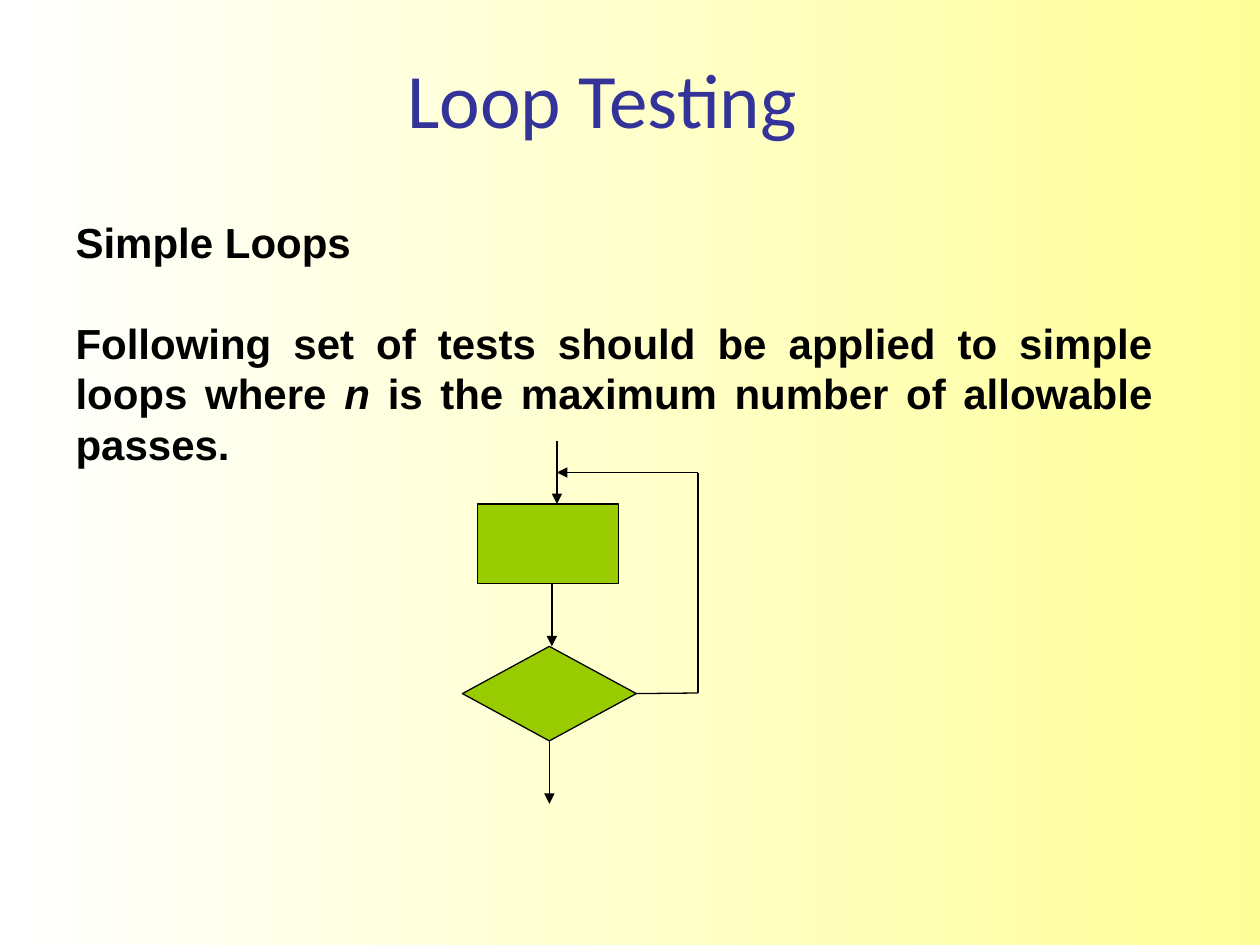
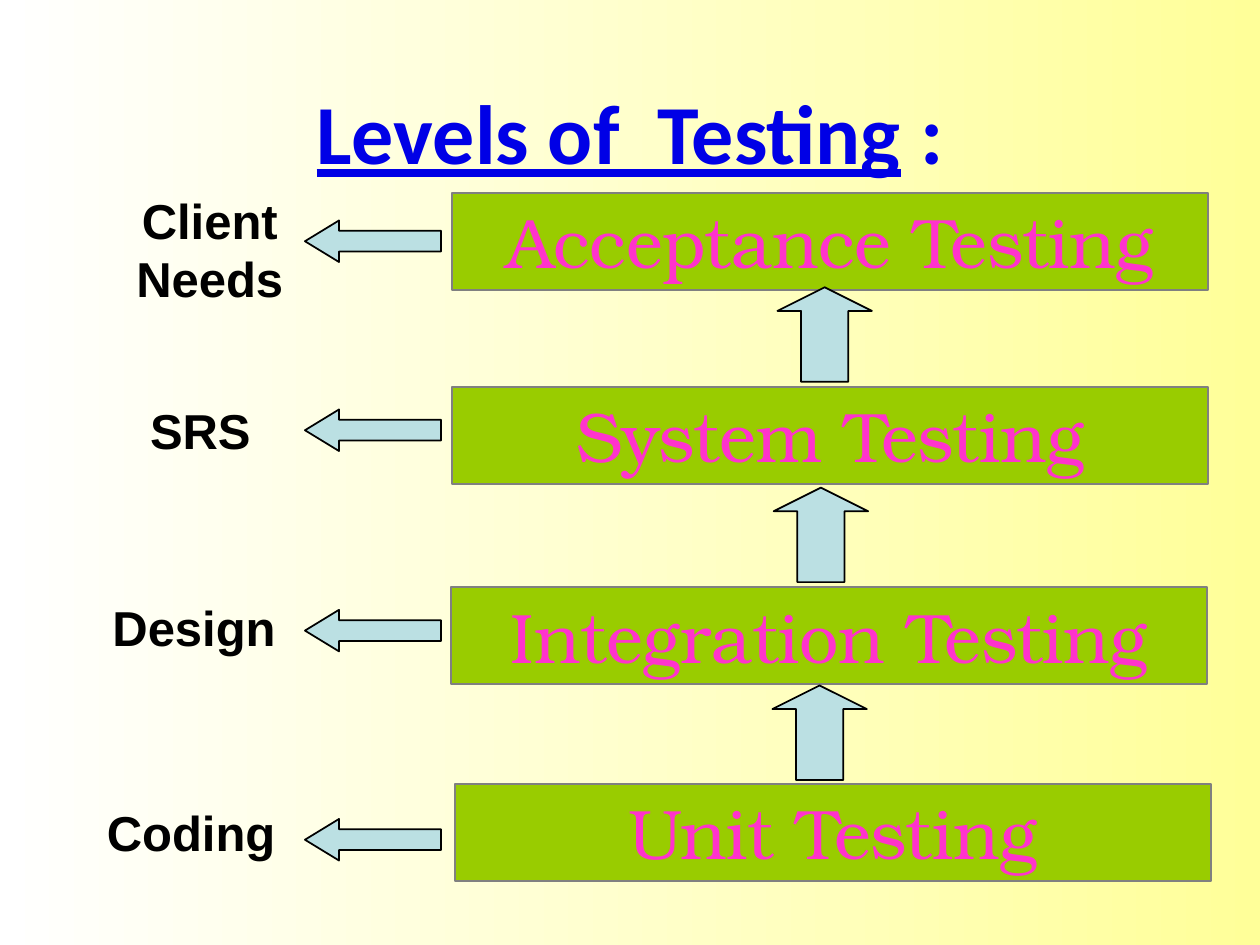
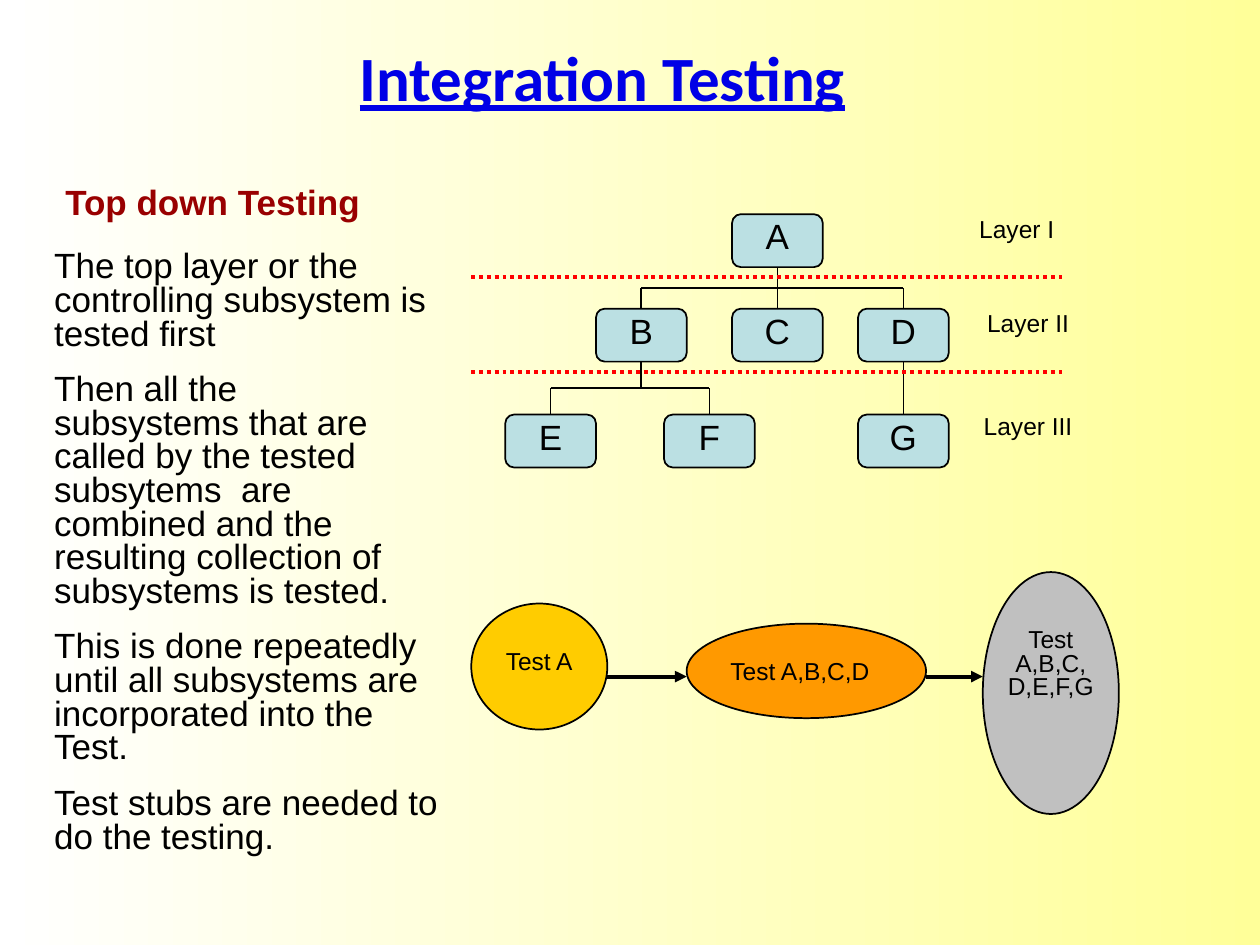
from lxml.etree import SubElement
from pptx import Presentation
from pptx.dml.color import RGBColor
from pptx.enum.dml import MSO_LINE
from pptx.enum.shapes import MSO_CONNECTOR, MSO_SHAPE
from pptx.enum.text import MSO_ANCHOR, MSO_AUTO_SIZE, PP_ALIGN
from pptx.oxml.ns import qn
from pptx.util import Inches, Pt

BLACK = RGBColor(0x00, 0x00, 0x00)
WHITE = RGBColor(0xFF, 0xFF, 0xFF)
PALE_YELLOW = RGBColor(0xFF, 0xFF, 0x99)
INDIGO = RGBColor(0x33, 0x33, 0x99)
BLUE = RGBColor(0x00, 0x00, 0xE6)
GREEN = RGBColor(0x99, 0xCC, 0x00)
PINK = RGBColor(0xFF, 0x33, 0xCC)
LIGHT_BLUE = RGBColor(0xBB, 0xE0, 0xE3)
GRAY = RGBColor(0x80, 0x80, 0x80)
SILVER = RGBColor(0xC0, 0xC0, 0xC0)
GOLD = RGBColor(0xFF, 0xCC, 0x00)
ORANGE = RGBColor(0xFF, 0x99, 0x00)
MAROON = RGBColor(0x99, 0x00, 0x00)
RED = RGBColor(0xFF, 0x00, 0x00)

LINE = MSO_CONNECTOR.STRAIGHT
TITLE = {"name": "Calibri", "size": Pt(44), "bold": False}
LINKED_TITLE = {"name": "Calibri", "bold": True, "underline": True}
BODY = {"name": "Arial", "size": Pt(20)}
SMALL = {"name": "Arial", "size": Pt(14)}


def write(owner, paragraphs, style, color=BLACK, align=PP_ALIGN.CENTER,
          anchor=MSO_ANCHOR.TOP, spacing=1.0, gap=0, box=None):
    if box:
        owner.left, owner.top, owner.width, owner.height = map(Inches, box)
    frame = owner.text_frame
    frame.word_wrap = True
    frame.auto_size = MSO_AUTO_SIZE.NONE
    frame.vertical_anchor = anchor
    for index, runs in enumerate(paragraphs):
        paragraph = frame.add_paragraph() if index else frame.paragraphs[0]
        paragraph.alignment = align
        paragraph.line_spacing = spacing
        paragraph.space_before = Pt(gap if index else 0)
        for text, changes in runs:
            if text == "\n":
                paragraph.add_line_break()
                continue
            run = paragraph.add_run()
            run.text = text
            run.font.color.rgb = color
            for key, value in {**style, **changes}.items():
                setattr(run.font, key, value)


def draw(slide, kind, box, fill=None, line=BLACK, width=1, arrow=False):
    lengths = [Inches(value) for value in box]
    if kind is LINE:
        item = slide.shapes.add_connector(kind, *lengths)
    else:
        item = slide.shapes.add_shape(kind, *lengths)
        item.shadow.inherit = False
        item.fill.solid()
        item.fill.fore_color.rgb = fill
    item.line.color.rgb = line
    item.line.width = Pt(width)
    if kind is LINE:
        properties = item._element.spPr
        if arrow:
            SubElement(properties.find(qn("a:ln")), qn("a:tailEnd"), type="triangle")
        SubElement(properties, qn("a:effectLst"))
    return item


prs = Presentation()
prs.slide_width = Inches(10)
prs.slide_height = Inches(7.5)
backdrop = prs.slide_master.background.fill
backdrop.gradient()
backdrop.gradient_angle = 180
for stop, color in zip(backdrop.gradient_stops, (PALE_YELLOW, WHITE)):
    stop.color.rgb = color

loops, levels, integration = [
    prs.slides.add_slide(prs.slide_layouts[layout]) for layout in (1, 5, 1)]

for slide, box, runs, style, color, spacing in (
    (loops, (0.42, 0.33, 8.72, 0.89), [("Loop Testing", {})], TITLE, INDIGO, 1.0),
    (levels, (0.5, 0.58, 9, 0.92),
     [("Levels of  Testing", {}), (" :", {"underline": False})],
     {**LINKED_TITLE, "size": Pt(48)}, BLUE, 1.0),
    (integration, (0.64, 0.2, 8.28, 0.92), [("Integration Testing", {})],
     {**LINKED_TITLE, "size": Pt(36)}, BLUE, 0.8),
):
    write(slide.shapes.title, [runs], style, color, anchor=MSO_ANCHOR.MIDDLE,
          spacing=spacing, box=box)

write(loops.placeholders[1], [
    [("Simple Loops", {})],
    [("Following set of tests should be applied to simple loops where ", {}),
     ("n ", {"italic": True}),
     ("is the maximum number of allowable passes.", {})],
], {"name": "Arial", "size": Pt(24), "bold": True}, align=PP_ALIGN.JUSTIFY,
    gap=28.8, box=(0.5, 1.67, 8.75, 2.1))

write(integration.placeholders[1], [
    [("The top layer or the controlling subsystem is tested first", {})],
    [("Then all the", {}), ("\n", {}),
     ("subsystems that are called by the tested subsytems  are combined and the "
      "resulting collection of subsystems is tested.", {})],
    [("This is done repeatedly until all subsystems are incorporated into the Test.", {})],
    [("Test stubs are needed to do the testing.", {})],
], BODY, align=PP_ALIGN.LEFT, spacing=0.8, gap=12.5, box=(0.33, 1.95, 3.31, 4.89))

for slide in (loops, integration):
    for paragraph in slide.placeholders[1].text_frame.paragraphs:
        properties = paragraph._p.get_or_add_pPr()
        properties.set("marL", "0")
        properties.set("indent", "0")
        SubElement(properties, qn("a:buNone"))

draw(loops, MSO_SHAPE.RECTANGLE, (3.79, 4, 1.12, 0.63), GREEN, width=0.75)
decision = draw(loops, MSO_SHAPE.FLOWCHART_DECISION, (3.67, 5.13, 1.38, 0.75),
                GREEN, width=0.75)
for path_ends, arrow, site in (
    ((4.42, 3.5, 4.42, 4), True, None),
    ((4.38, 4.63, 4.38, 5.13), True, None),
    ((4.36, 5.88, 4.36, 6.38), True, 2),
    ((5.05, 5.5, 5.54, 5.5), False, 3),
    ((5.54, 5.5, 5.54, 3.75), False, None),
    ((5.54, 3.75, 4.42, 3.75), True, None),
):
    flow = draw(loops, LINE, path_ends, width=0.75, arrow=arrow)
    if site is not None:
        flow.begin_connect(decision, site)

for level, left, top, basis, basis_box, basis_align, arrow_top in (
    ("Acceptance Testing", 3.59, 1.53, "Client Needs", (0.83, 1.46, 1.67, 1.04),
     PP_ALIGN.CENTER, 1.75),
    ("System Testing", 3.59, 3.07, "SRS", (0.67, 3.13, 1.84, 0.57),
     PP_ALIGN.CENTER, 3.25),
    ("Integration Testing", 3.58, 4.66, "Design", (0.58, 4.69, 1.92, 0.57),
     PP_ALIGN.CENTER, 4.84),
    ("Unit Testing", 3.61, 6.22, "Coding", (0.75, 6.32, 1.67, 0.57),
     PP_ALIGN.LEFT, 6.5),
):
    bar = draw(levels, MSO_SHAPE.RECTANGLE, (left, top, 6, 0.77), GREEN, GRAY)
    write(bar, [[(level, {})]], {"name": "TeX Gyre Bonum", "size": Pt(40)}, PINK)
    basis_label = levels.shapes.add_textbox(*map(Inches, basis_box))
    write(basis_label, [[(basis, {})]],
          {"name": "Arial", "size": Pt(28), "bold": True}, align=basis_align)
    basis_arrow = draw(levels, MSO_SHAPE.LEFT_ARROW, (2.42, arrow_top, 1.08, 0.33),
                       LIGHT_BLUE)
    basis_arrow.adjustments[1] = 0.82

for left, top in ((6.17, 2.28), (6.14, 3.87), (6.13, 5.44)):
    rise = draw(levels, MSO_SHAPE.UP_ARROW, (left, top, 0.75, 0.75), LIGHT_BLUE)
    rise.adjustments[1] = 0.25

heading = integration.shapes.add_textbox(
    Inches(0.42), Inches(1.45), Inches(3.07), Inches(0.37))
write(heading, [[("Top down Testing", {})]], {**BODY, "bold": True}, MAROON,
      PP_ALIGN.LEFT, spacing=0.8)

for stage, oval, fill, label_box in (
    ("Test A", (3.74, 4.79, 1.08, 1), GOLD, (3.83, 5.12, 0.9, 0.29)),
    ("Test A,B,C,D", (5.45, 4.95, 1.9, 0.75), ORANGE, (5.63, 5.2, 1.44, 0.29)),
    ("Test A,B,C,D,E,F,G", (7.8, 4.54, 1.08, 1.92), SILVER, (7.89, 4.95, 0.9, 0.66)),
):
    draw(integration, MSO_SHAPE.OVAL, oval, fill)
    stage_label = integration.shapes.add_textbox(*map(Inches, label_box))
    write(stage_label, [[(stage, {})]], SMALL, spacing=0.8)
for start, end in ((4.82, 5.45), (7.35, 7.8)):
    draw(integration, LINE, (start, 5.37, end, 5.37), width=2.25, arrow=True)

NODE_WIDTH, NODE_HEIGHT = 0.72, 0.42
places = {
    "A": (5.81, 1.7), "B": (4.73, 2.45), "C": (5.81, 2.45), "D": (6.81, 2.45),
    "E": (4.01, 3.29), "F": (5.27, 3.29), "G": (6.81, 3.29),
}
nodes = {}
for letter, (left, top) in places.items():
    node = draw(integration, MSO_SHAPE.ROUNDED_RECTANGLE,
                (left, top, NODE_WIDTH, NODE_HEIGHT), LIGHT_BLUE)
    write(node, [[(letter, {})]], BODY, spacing=0.8)
    nodes[letter] = node

for parent, children in (("A", "BCD"), ("B", "EF"), ("D", "G")):
    parent_x = places[parent][0] + NODE_WIDTH / 2
    parent_bottom = places[parent][1] + NODE_HEIGHT
    child_top = places[children[0]][1]
    child_xs = [places[child][0] + NODE_WIDTH / 2 for child in children]
    branch_y = (parent_bottom + child_top) / 2
    if len(children) == 1:
        stem = draw(integration, LINE, (parent_x, parent_bottom, parent_x, child_top))
        stem.begin_connect(nodes[parent], 2)
        stem.end_connect(nodes[children], 0)
        continue
    stem = draw(integration, LINE, (parent_x, parent_bottom, parent_x, branch_y))
    stem.begin_connect(nodes[parent], 2)
    draw(integration, LINE, (child_xs[0], branch_y, child_xs[-1], branch_y))
    for child, child_x in zip(children, child_xs):
        drop = draw(integration, LINE, (child_x, branch_y, child_x, child_top))
        drop.end_connect(nodes[child], 0)

for boundary in (2.2, 2.95):
    divider = draw(integration, LINE, (3.74, boundary, 8.43, boundary), line=RED, width=2.25)
    divider.line.dash_style = MSO_LINE.ROUND_DOT

for layer, left, top in (
    ("Layer I", 7.44, 1.69), ("Layer II", 7.53, 2.44), ("Layer III", 7.53, 3.26)):
    layer_label = integration.shapes.add_textbox(
        Inches(left), Inches(top), Inches(1.26), Inches(0.29))
    write(layer_label, [[(layer, {})]], SMALL, spacing=0.8)

prs.save("out.pptx")
